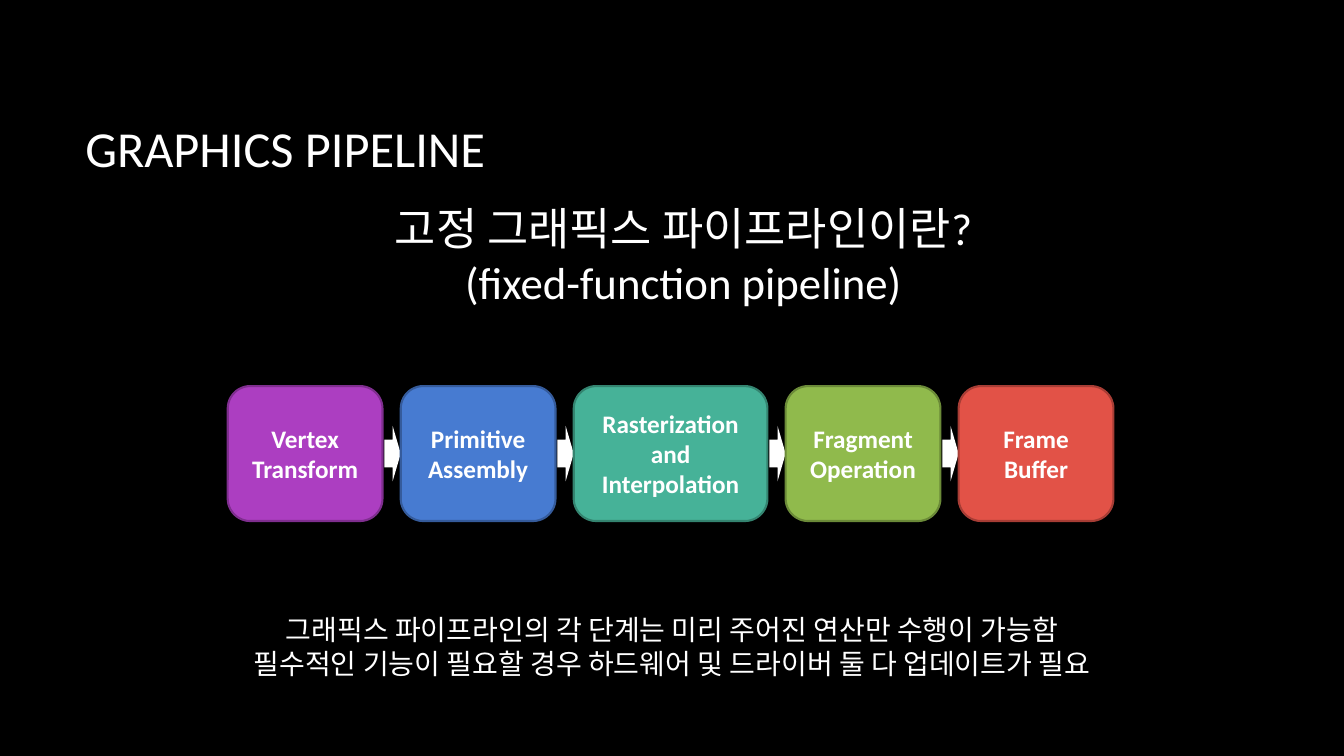
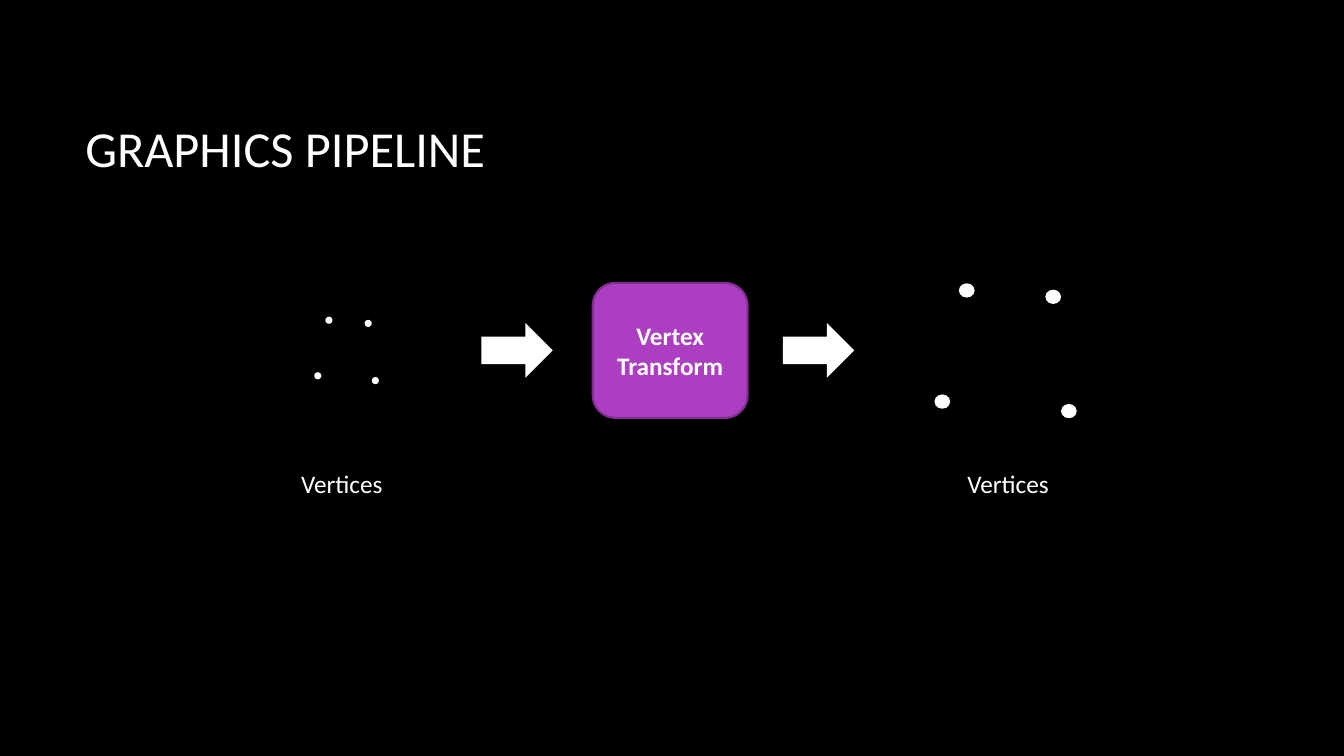
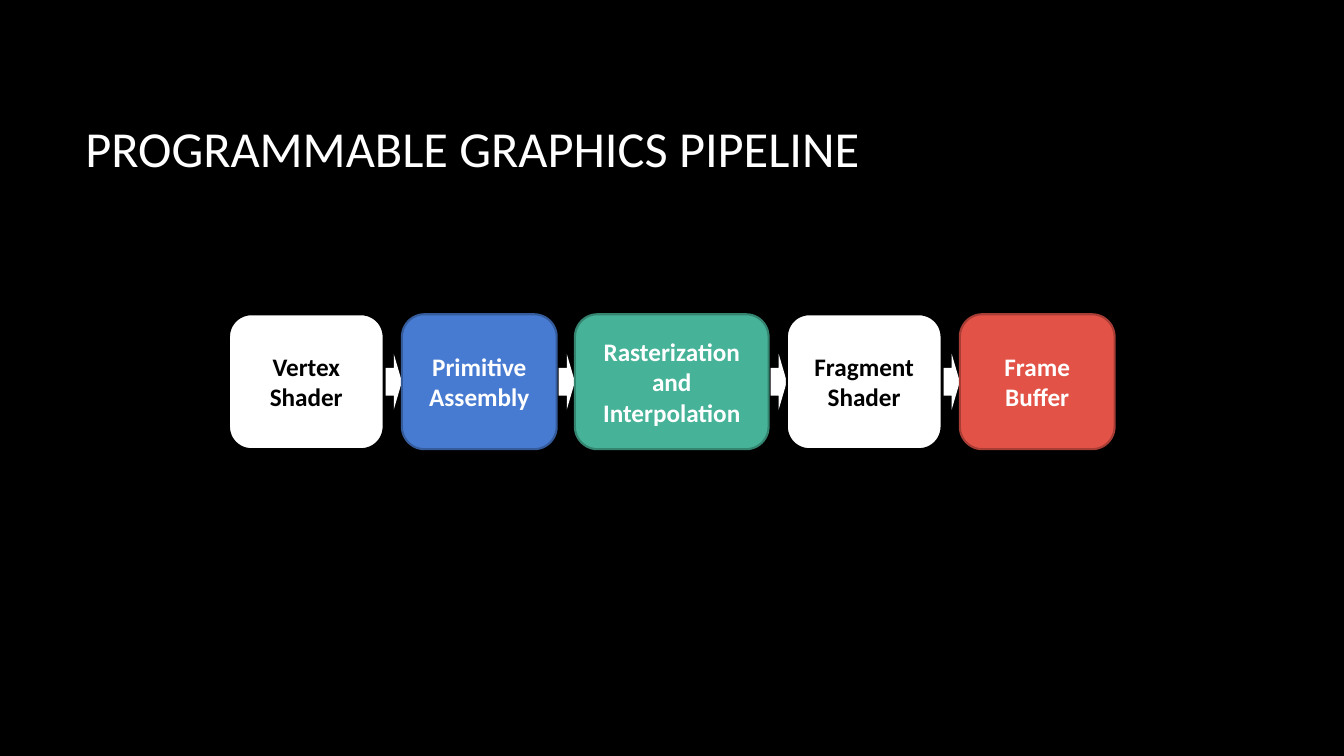
from pptx import Presentation
from pptx.dml.color import RGBColor
from pptx.enum.shapes import MSO_SHAPE
from pptx.enum.text import MSO_ANCHOR, PP_ALIGN
from pptx.util import Cm, Pt

ROUNDED = MSO_SHAPE.ROUNDED_RECTANGLE
ARROW = MSO_SHAPE.RIGHT_ARROW
DOT = MSO_SHAPE.FLOWCHART_CONNECTOR
TOP, MIDDLE = MSO_ANCHOR.TOP, MSO_ANCHOR.MIDDLE
LEFT, CENTER = PP_ALIGN.LEFT, PP_ALIGN.CENTER

BLACK = RGBColor(0x00, 0x00, 0x00)
WHITE = RGBColor(0xFF, 0xFF, 0xFF)
PURPLE, DARK_PURPLE = RGBColor(0xAC, 0x3E, 0xC1), RGBColor(0x7F, 0x2E, 0x8F)
BLUE, DARK_BLUE = RGBColor(0x47, 0x7B, 0xD1), RGBColor(0x35, 0x5B, 0x9B)
TEAL, DARK_TEAL = RGBColor(0x46, 0xB2, 0x98), RGBColor(0x34, 0x84, 0x70)
GREEN, DARK_GREEN = RGBColor(0x90, 0xBA, 0x4C), RGBColor(0x6B, 0x8A, 0x38)
RED, DARK_RED = RGBColor(0xE2, 0x52, 0x47), RGBColor(0xA7, 0x3D, 0x35)

STAGE_WIDTH, WIDE_STAGE_WIDTH, STAGE_HEIGHT = 3.9, 4.88, 3.4
STAGE_GAP = 0.46

# Each stage: text, fill, outline, text colour, width
VERTEX_TRANSFORM = ("Vertex Transform", PURPLE, DARK_PURPLE, WHITE, STAGE_WIDTH)
PRIMITIVE_ASSEMBLY = ("Primitive Assembly", BLUE, DARK_BLUE, WHITE, STAGE_WIDTH)
RASTERIZATION = ("Rasterization and Interpolation", TEAL, DARK_TEAL, WHITE,
                 WIDE_STAGE_WIDTH)
FRAGMENT_OPERATION = ("Fragment Operation", GREEN, DARK_GREEN, WHITE, STAGE_WIDTH)
FRAME_BUFFER = ("Frame Buffer", RED, DARK_RED, WHITE, STAGE_WIDTH)
VERTEX_SHADER = ("Vertex Shader", WHITE, BLACK, BLACK, STAGE_WIDTH)
FRAGMENT_SHADER = ("Fragment Shader", WHITE, BLACK, BLACK, STAGE_WIDTH)

VERTEX_SIZE = 0.18
VERTEX_OFFSETS = [(0.28, 0), (0, 1.4), (1.45, 1.52), (1.27, 0.08)]


class Deck:
    """Holds the shared style and the current slide; lengths are in centimetres."""

    def __init__(self):
        self.presentation = Presentation()
        self.presentation.slide_width = Cm(33.87)
        self.presentation.slide_height = Cm(19.05)
        background = self.presentation.slide_master.background.fill
        background.solid()
        background.fore_color.rgb = BLACK
        self.slide = None

    def add_slide(self, title):
        blank_layout = self.presentation.slide_layouts[6]
        self.slide = self.presentation.slides.add_slide(blank_layout)
        self.text(title, 1.9, 1.7, 28.14, 4.04, 36, anchor=MIDDLE)

    def fill_text(self, frame, text, alignment, color=WHITE, **font_values):
        """Put one paragraph per line of text into the frame."""
        frame.word_wrap = True
        frame.text = text
        font_values["name"] = "Calibri"
        for paragraph in frame.paragraphs:
            paragraph.alignment = alignment
            font = paragraph.runs[0].font
            font.color.rgb = color
            for name, value in font_values.items():
                setattr(font, name, value)

    def text(self, text, left, top, width, height, size, alignment=LEFT, anchor=TOP):
        box = self.slide.shapes.add_textbox(Cm(left), Cm(top), Cm(width), Cm(height))
        box.text_frame.vertical_anchor = anchor
        self.fill_text(box.text_frame, text, alignment, size=Pt(size))

    def shape(self, kind, left, top, width, height, fill=WHITE, outline=None):
        shape = self.slide.shapes.add_shape(
            kind, Cm(left), Cm(top), Cm(width), Cm(height))
        shape.shadow.inherit = False
        shape.fill.solid()
        shape.fill.fore_color.rgb = fill
        if outline is None:
            shape.line.fill.background()
        else:
            shape.line.color.rgb = outline
            shape.line.width = Pt(1.5)
        return shape

    def stage(self, stage, left, top):
        text, fill, outline, color, width = stage
        shape = self.shape(ROUNDED, left, top, width, STAGE_HEIGHT, fill, outline)
        self.fill_text(shape.text_frame, text, CENTER, color, size=Pt(18), bold=True)

    def pipeline(self, stages, left, top):
        """Draw stages in a row, with an arrow in each gap."""
        arrow_width, arrow_height = 0.41, 1.4
        arrow_top = top + (STAGE_HEIGHT - arrow_height) / 2
        for index, stage in enumerate(stages):
            if index:
                self.shape(ARROW, left - arrow_width, arrow_top,
                           arrow_width, arrow_height)
            self.stage(stage, left, top)
            left += stage[-1] + STAGE_GAP

    def vertices(self, left, top, scale_x=1, scale_y=1):
        for x, y in VERTEX_OFFSETS:
            self.shape(DOT, left + x * scale_x, top + y * scale_y,
                       VERTEX_SIZE * scale_x, VERTEX_SIZE * scale_y)


def main():
    deck = Deck()

    deck.add_slide("GRAPHICS PIPELINE")
    deck.pipeline([VERTEX_TRANSFORM, PRIMITIVE_ASSEMBLY, RASTERIZATION,
                   FRAGMENT_OPERATION, FRAME_BUFFER], 5.74, 9.73)
    deck.text("고정 그래픽스 파이프라인이란?\n(fixed-function pipeline)",
              7.98, 4.93, 18.49, 3, 32, CENTER)
    deck.text("그래픽스 파이프라인의 각 단계는 미리 주어진 연산만 수행이 가능함\n"
              "필수적인 기능이 필요할 경우 하드웨어 및 드라이버 둘 다 업데이트가 필요",
              4.24, 15.32, 25.4, 1.96, 20, CENTER)

    deck.add_slide("GRAPHICS PIPELINE")
    deck.stage(VERTEX_TRANSFORM, 14.94, 7.13)
    deck.vertices(7.92, 7.98)
    deck.vertices(23.55, 7.14, 2.2, 2)
    for arrow_left in (12.13, 19.73):
        deck.shape(ARROW, arrow_left, 8.14, 1.8, 1.38)
    for label_left in (7.34, 24.13):
        deck.text("Vertices", label_left, 11.68, 3, 1.02, 18)

    deck.add_slide("PROGRAMMABLE GRAPHICS PIPELINE")
    deck.pipeline([VERTEX_SHADER, PRIMITIVE_ASSEMBLY, RASTERIZATION,
                   FRAGMENT_SHADER, FRAME_BUFFER], 5.77, 7.92)

    deck.presentation.save("out.pptx")


if __name__ == "__main__":
    main()
